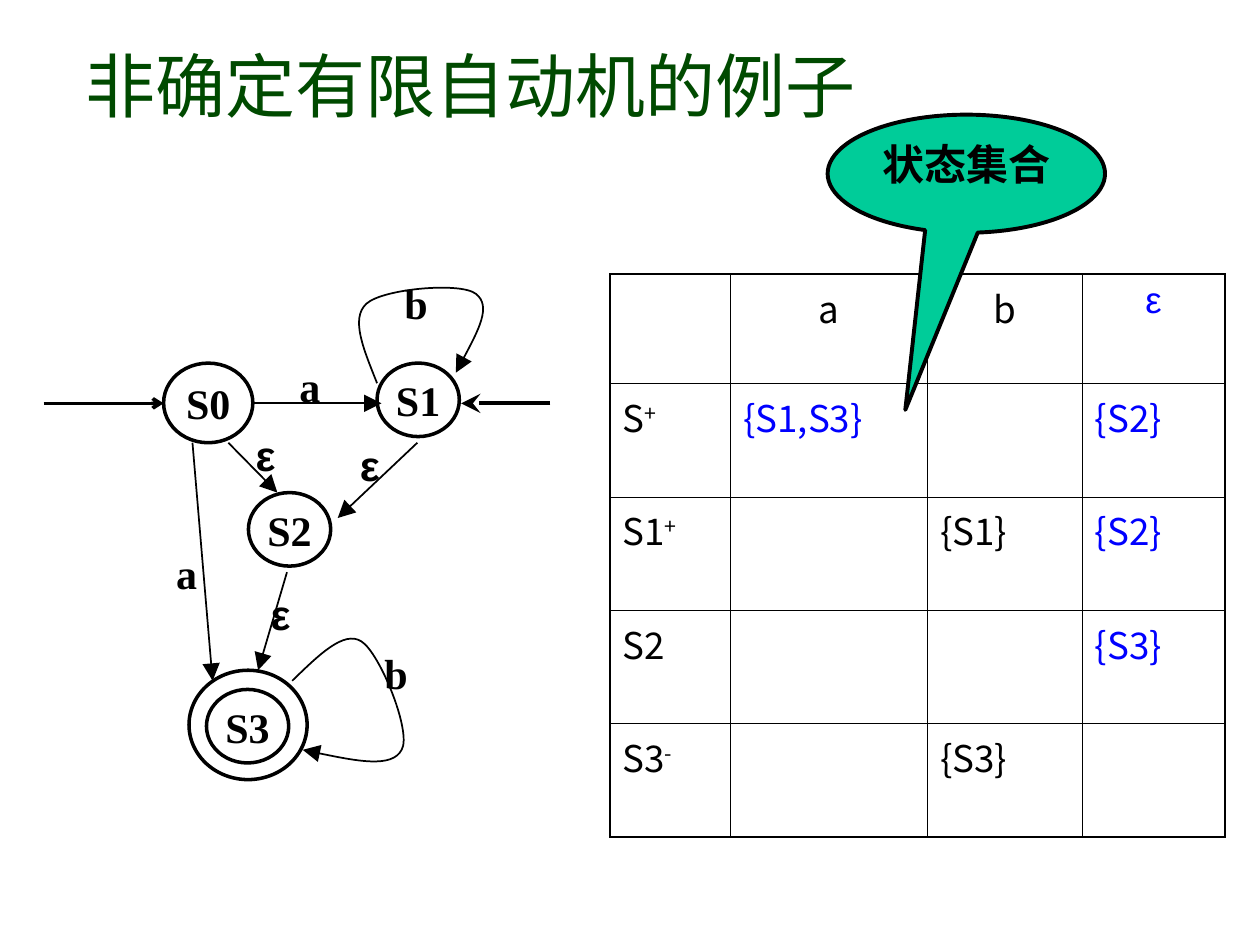
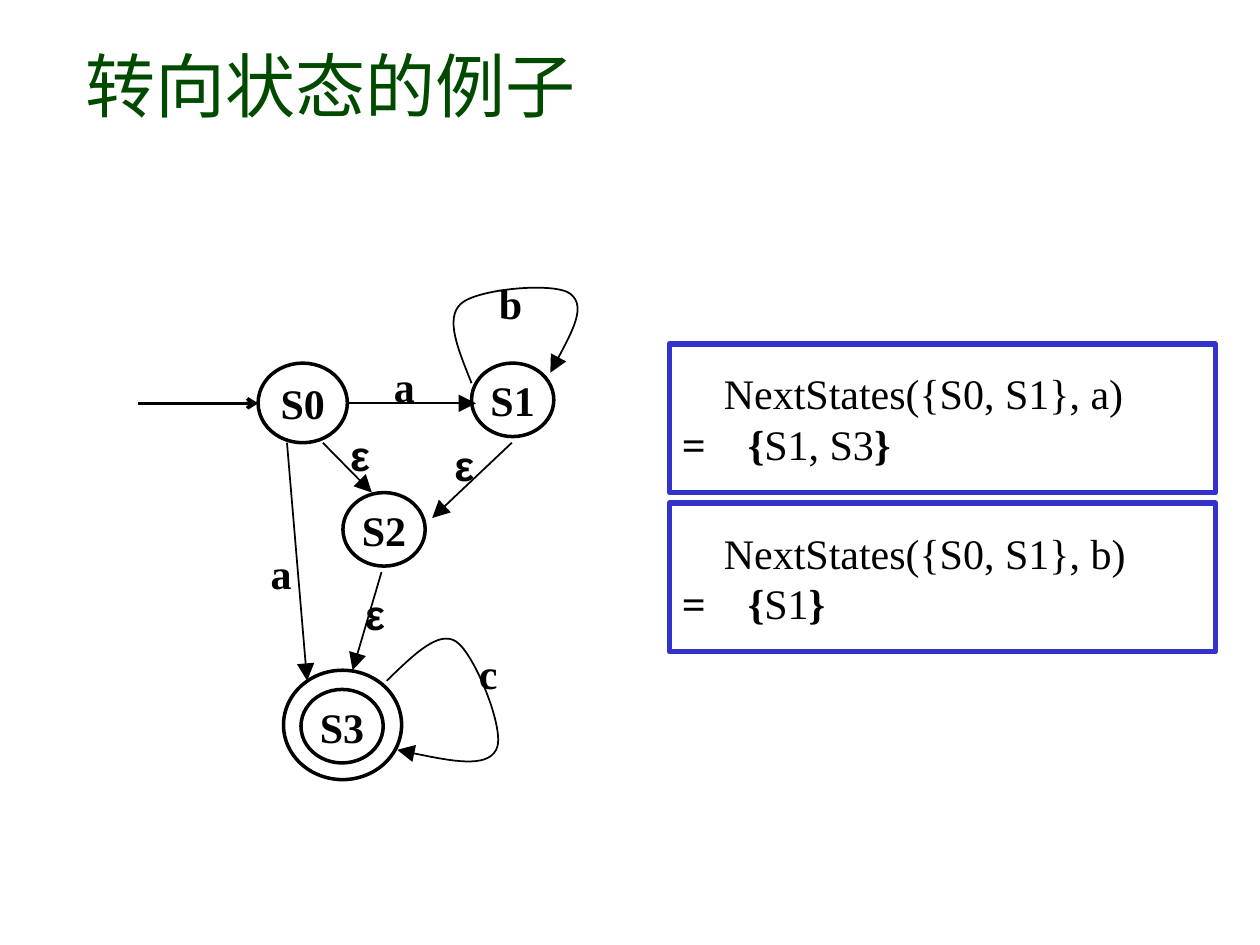
from dataclasses import dataclass
from typing import NamedTuple

from lxml import etree
from pptx import Presentation
from pptx.dml.color import RGBColor
from pptx.enum.shapes import MSO_CONNECTOR, MSO_SHAPE
from pptx.enum.text import MSO_ANCHOR, PP_ALIGN
from pptx.oxml.ns import qn
from pptx.util import Pt

STRAIGHT = MSO_CONNECTOR.STRAIGHT
OVAL = MSO_SHAPE.OVAL
RECT = MSO_SHAPE.RECTANGLE
CALLOUT = MSO_SHAPE.OVAL_CALLOUT
TOP, MIDDLE = MSO_ANCHOR.TOP, MSO_ANCHOR.MIDDLE
LEFT, CENTER = PP_ALIGN.LEFT, PP_ALIGN.CENTER


@dataclass(frozen=True)
class Theme:
    black: str = "000000"
    title: str = "004A00"
    blue: str = "0000FF"
    callout: str = "00CC99"
    frame: str = "3333CC"
    serif: str = "Times New Roman"
    sans: str = "Arial"
    cjk: str = "Noto Sans CJK KR"
    cjk_bold: str = "Noto Sans CJK SC"
    title_size: float = 40
    text_size: float = 24
    cell_size: float = 21


T = Theme()


class Run(NamedTuple):
    text: str
    font: str = T.serif
    size: float = T.text_size
    color: str = T.black
    bold: bool = False
    superscript: bool = False


class Box(NamedTuple):
    x: float
    y: float
    w: float
    h: float


class State(NamedTuple):
    name: str
    box: Box


class Edge(NamedTuple):
    symbol: str
    start: tuple[float, float]
    end: tuple[float, float]
    label: tuple[float, float]


class Loop(NamedTuple):
    """Bézier points: a start, then three points per curve."""
    points: list[tuple[float, float]]
    label: tuple[float, float]


class Cell(NamedTuple):
    text: str
    mark: str = ""
    color: str = T.black
    font: str = T.cjk


ENTRY_Y = 230.5
STATES = [
    State("S0", Box(93.5, 207.5, 51, 45.5)),
    State("S1", Box(215.5, 207.5, 47, 42)),
    State("S2", Box(142, 281.5, 47, 42)),
    State("S3", Box(118, 394, 47, 42)),
    State("", Box(108, 383, 67.5, 62.5)),  # outer ring of the accepting state
]
EDGES = [
    Edge("a", (144.5, ENTRY_Y), (218, ENTRY_Y), (164, 202.5)),
    Edge("ε", (130.5, 253), (158.5, 281.5), (139, 242)),
    Edge("a", (110, 253), (121.5, 389), (93.5, 309.5)),
    Edge("ε", (238.5, 253), (193, 296), (198.5, 247.5)),
    Edge("ε", (164, 327), (147.5, 383), (147.5, 332.5)),
]
S1_LOOP = Loop([(215.5, 219), (208, 200), (200, 182), (209.5, 173.5), (219, 165),
                (263.5, 161), (272, 168), (281, 175), (271, 193.5), (260.5, 213)],
               (224, 155))
S3_LOOP = Loop([(167, 389), (182, 374.5), (196.5, 360), (206.5, 366.5), (217, 373),
                (235.5, 418.5), (229.5, 428.5), (224, 439), (198.5, 434), (173, 428.5)],
               (212.5, 366.5))

EMPTY = Cell("")
TO_S2 = Cell("{S2}", color=T.blue)
TRANSITIONS = [
    [EMPTY, Cell("a"), Cell("b"), Cell("ε", color=T.blue, font=T.sans)],
    [Cell("S", "+"), Cell("{S1,S3}", color=T.blue), EMPTY, TO_S2],
    [Cell("S1", "+"), EMPTY, Cell("{S1}"), TO_S2],
    [Cell("S2"), EMPTY, EMPTY, Cell("{S3}", color=T.blue)],
    [Cell("S3", "-"), EMPTY, Cell("{S3}"), EMPTY],
]
COLUMN_WIDTHS = [69, 112.5, 88.5, 81.5]
HEADER_HEIGHT, ROW_HEIGHT = 62.5, 64.8
INNER_BORDER, OUTER_BORDER = 0.45, 1.08


def rgb(color: str) -> RGBColor:
    return RGBColor.from_string(color)


def add_runs(p, runs: list[Run], align=LEFT) -> None:
    p.alignment = align
    for run in runs:
        r = p.add_run()
        r.text = run.text
        f = r.font
        f.name, f.size, f.bold = run.font, Pt(run.size), run.bold
        f.color.rgb = rgb(run.color)
        rpr = r._r.get_or_add_rPr()
        etree.SubElement(rpr, qn("a:ea"), typeface=run.font)
        if run.superscript:
            rpr.set("baseline", "30000")


def add_text(slide, box: Box, run: Run, anchor=TOP) -> None:
    sp = slide.shapes.add_textbox(*map(Pt, box))
    tf = sp.text_frame
    tf.word_wrap, tf.vertical_anchor = True, anchor
    add_runs(tf.paragraphs[0], [run])


def add_outlined(slide, kind, box: Box, color: str, width: float, anchor=MIDDLE):
    sp = slide.shapes.add_shape(kind, *map(Pt, box))
    sp.shadow.inherit = False
    sp.fill.background()
    sp.line.color.rgb, sp.line.width = rgb(color), Pt(width)
    sp.text_frame.vertical_anchor = anchor
    return sp


def set_arrow(sp, width: float, head: str, size: str) -> None:
    sp.line.color.rgb, sp.line.width = rgb(T.black), Pt(width)
    etree.SubElement(sp.line._get_or_add_ln(), qn("a:tailEnd"),
                     type=head, w=size, len=size)


def add_arrow(slide, start, end, dx: float, width: float = 1,
              head: str = "triangle", size: str = "lg") -> None:
    sp = slide.shapes.add_connector(STRAIGHT, Pt(start[0] + dx), Pt(start[1]),
                                    Pt(end[0] + dx), Pt(end[1]))
    set_arrow(sp, width, head, size)
    etree.SubElement(sp._element.spPr, qn("a:effectLst"))


def add_symbol(slide, symbol: str, at, dx: float) -> None:
    font = T.sans if symbol == "ε" else T.serif
    add_text(slide, Box(at[0] + dx, at[1], 34, 36), Run(symbol, font, bold=True))


def add_loop(slide, loop: Loop, symbol: str, dx: float) -> None:
    points = [(Pt(x + dx), Pt(y)) for x, y in loop.points]
    builder = slide.shapes.build_freeform(*points[0])
    builder.add_line_segments(points[1:], close=False)
    sp = builder.convert_to_shape()
    sp.shadow.inherit = False
    sp.fill.background()
    set_arrow(sp, 1, "triangle", "lg")
    # Each three straight segments become one cubic curve.
    segments = list(sp._element.iter(qn("a:lnTo")))
    for i in range(0, len(segments), 3):
        curve = etree.Element(qn("a:cubicBezTo"))
        segments[i].addprevious(curve)
        for segment in segments[i:i + 3]:
            curve.append(segment[0])
            segment.getparent().remove(segment)
    add_symbol(slide, symbol, loop.label, dx)


def add_automaton(slide, s3_symbol: str, dx: float = 0) -> None:
    add_arrow(slide, (25, ENTRY_Y), (93.5, ENTRY_Y), dx, 2, "arrow", "med")
    for state in STATES:
        box = state.box._replace(x=state.box.x + dx)
        sp = add_outlined(slide, OVAL, box, T.black, 2)
        if state.name:
            sp.text_frame.word_wrap = False
            add_runs(sp.text_frame.paragraphs[0], [Run(state.name, bold=True)], CENTER)
    for edge in EDGES:
        add_arrow(slide, edge.start, edge.end, dx)
        add_symbol(slide, edge.symbol, edge.label, dx)
    add_loop(slide, S1_LOOP, "b", dx)
    add_loop(slide, S3_LOOP, s3_symbol, dx)


def set_borders(cell, widths: dict[str, float]) -> None:
    tcpr = cell._tc.get_or_add_tcPr()
    for i, (side, width) in enumerate(widths.items()):
        ln = etree.Element(qn(f"a:ln{side}"), w=str(Pt(width)))
        fill = etree.SubElement(ln, qn("a:solidFill"))
        etree.SubElement(fill, qn("a:srgbClr"), val=T.black)
        tcpr.insert(i, ln)


def add_transition_table(slide) -> None:
    n_rows, n_cols = len(TRANSITIONS), len(COLUMN_WIDTHS)
    height = HEADER_HEIGHT + (n_rows - 1) * ROW_HEIGHT
    box = Box(348.5, 156.7, sum(COLUMN_WIDTHS), height)
    table = slide.shapes.add_table(n_rows, n_cols, *map(Pt, box)).table
    table.first_row = table.horz_banding = False
    for column, width in zip(table.columns, COLUMN_WIDTHS):
        column.width = Pt(width)

    def border(outer: bool) -> float:
        return OUTER_BORDER if outer else INNER_BORDER

    for i, row in enumerate(TRANSITIONS):
        table.rows[i].height = Pt(ROW_HEIGHT if i else HEADER_HEIGHT)
        for j, item in enumerate(row):
            cell = table.cell(i, j)
            cell.fill.background()
            set_borders(cell, {"L": border(j == 0), "R": border(j == n_cols - 1),
                               "T": border(i == 0), "B": border(i == n_rows - 1)})
            if item.text:
                runs = [Run(item.text, item.font, T.cell_size, item.color)]
                if item.mark:
                    runs.append(Run(item.mark, item.font, T.cell_size, item.color,
                                    superscript=True))
                add_runs(cell.text_frame.paragraphs[0], runs, LEFT if i else CENTER)


def add_callout(slide, text: str) -> None:
    sp = add_outlined(slide, CALLOUT, Box(473, 65.5, 158.5, 67.5), T.black, 2.25, TOP)
    sp.adjustments[0], sp.adjustments[1] = -0.22, 2
    sp.fill.solid()
    sp.fill.fore_color.rgb = rgb(T.callout)
    add_runs(sp.text_frame.paragraphs[0], [Run(text, T.cjk_bold, bold=True)], CENTER)


def add_next_states(slide, y: float, symbol: str, result: str) -> None:
    sp = add_outlined(slide, RECT, Box(382.5, y, 312, 85), T.frame, 3)
    tf = sp.text_frame
    tf.word_wrap = True
    call = tf.paragraphs[0]
    call._p.get_or_add_pPr().set("marL", str(Pt(24)))
    add_runs(call, [Run(f"NextStates({{S0, S1}}, {symbol})")])
    answer = tf.add_paragraph()
    tabs = etree.SubElement(answer._p.get_or_add_pPr(), qn("a:tabLst"))
    etree.SubElement(tabs, qn("a:tab"), pos=str(Pt(37.7)), algn="l")
    add_runs(answer, [Run("=\t{", bold=True), Run(result), Run("}", bold=True)])


def add_titled_slide(prs, title: str):
    slide = prs.slides.add_slide(prs.slide_layouts[6])
    add_text(slide, Box(42, 12.5, 611, 72),
             Run(title, T.cjk, T.title_size, T.title), MIDDLE)
    return slide


def main() -> None:
    prs = Presentation()
    prs.slide_width, prs.slide_height = Pt(720), Pt(540)

    slide = add_titled_slide(prs, "非确定有限自动机的例子")
    add_automaton(slide, "b")
    add_arrow(slide, (314.5, ENTRY_Y), (263.5, ENTRY_Y), 0, 2.25, "stealth")
    add_transition_table(slide)
    add_callout(slide, "状态集合")

    slide = add_titled_slide(prs, "转向状态的例子")
    add_automaton(slide, "c", dx=54)
    for i, (symbol, result) in enumerate([("a", "S1, S3"), ("b", "S1")]):
        add_next_states(slide, 196.5 + i * 91, symbol, result)

    prs.save("out.pptx")


if __name__ == "__main__":
    main()
